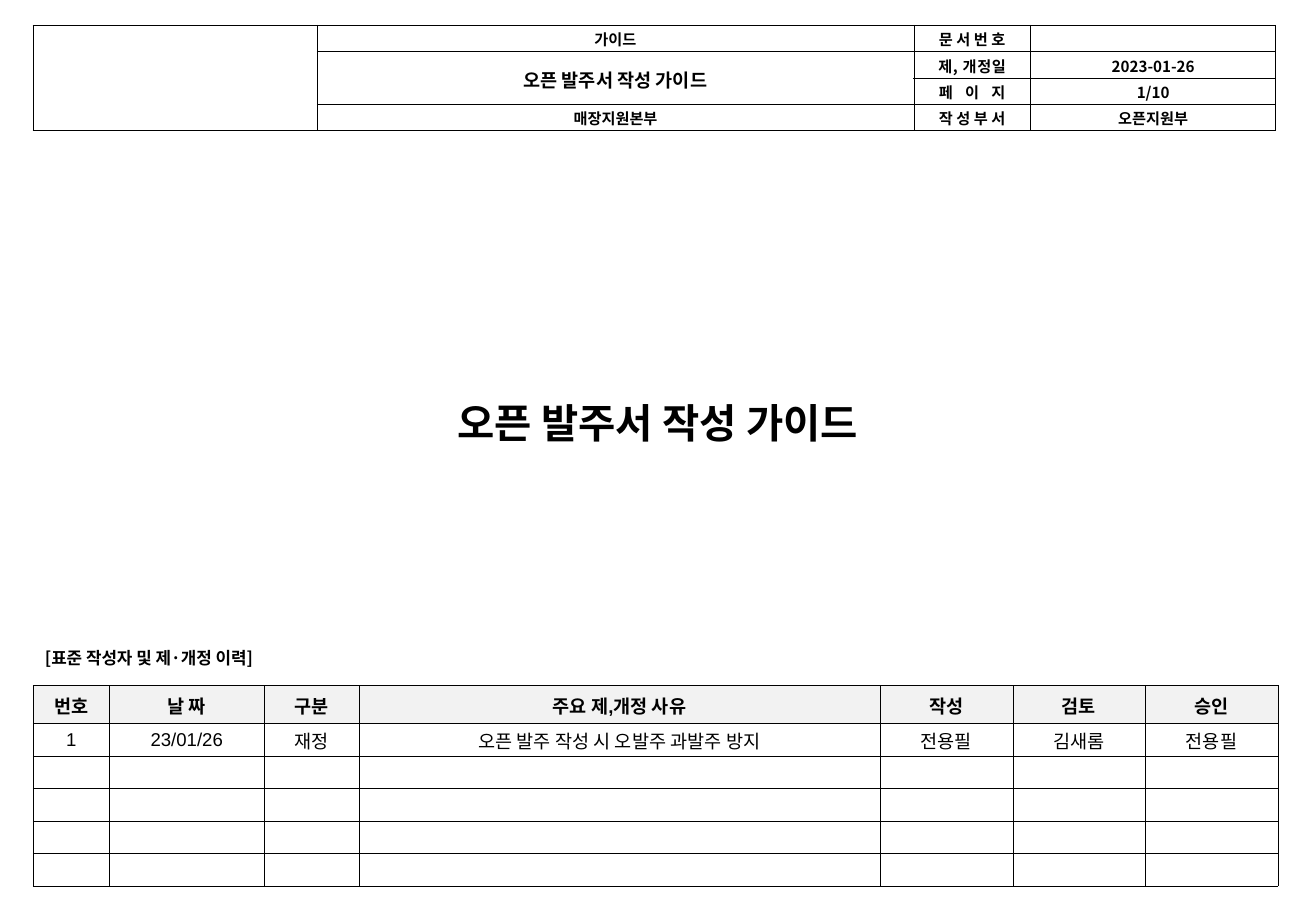
import dataclasses
import lxml.etree
import pptx
import pptx.dml.color
import pptx.enum.text
import pptx.oxml.ns
import pptx.util

Cm = pptx.util.Cm
Pt = pptx.util.Pt
qn = pptx.oxml.ns.qn
ALIGN = pptx.enum.text.PP_ALIGN
ANCHOR = pptx.enum.text.MSO_ANCHOR


@dataclasses.dataclass(frozen=True)
class Theme:
    ink: str = "000000"
    head: str = "F2F2F2"
    sans: str = "Noto Sans CJK KR"
    latin: str = "Arial"
    title: float = 24
    body: float = 11
    note: float = 10
    small: float = 9
    thin: float = 0.25
    thick: float = 0.5
    lead: float = 1.07


THEME = Theme()


@dataclasses.dataclass
class Style:
    size: float
    font: str
    bold: bool = True
    fill: str = ""
    track: float = 0  # letter spacing in points


@dataclasses.dataclass
class Label:
    text: str
    left: float
    top: float
    width: float
    height: float
    size: float
    align: ALIGN
    anchor: ANCHOR
    lead: float


@dataclasses.dataclass
class Grid:
    top: float
    cols: list[float]
    rows: list[float]
    text: list[list[str]]
    edge: float  # outer line width
    spans: list[tuple[int, int, int, int]]


def format_text(par, style: Style) -> None:
    for run in par.runs:
        run.font.size = Pt(style.size)
        run.font.bold = style.bold
        run.font.name = style.font
        run.font.color.rgb = pptx.dml.color.RGBColor.from_string(THEME.ink)
        props = run.font._element
        if style.track:
            props.set("spc", str(round(style.track * 100)))
        east = lxml.etree.Element(qn("a:ea"), typeface=THEME.sans)
        props.find(qn("a:latin")).addnext(east)
    if not par.runs:  # an empty cell must not stretch its row
        lxml.etree.SubElement(par._p, qn("a:endParaRPr"), sz=str(round(style.size * 100)))


def draw_line(cell, side: str, width: float) -> None:
    props = cell._tc.get_or_add_tcPr()
    line = lxml.etree.SubElement(props, qn("a:ln" + side), w=str(Pt(width)))
    fill = lxml.etree.SubElement(line, qn("a:solidFill"))
    lxml.etree.SubElement(fill, qn("a:srgbClr"), val=THEME.ink)


def draw_cell(cell, text: str, style: Style, sides: dict[str, float]) -> None:
    cell.margin_left = cell.margin_right = Cm(0.18)
    cell.margin_top = cell.margin_bottom = 0
    cell.vertical_anchor = ANCHOR.MIDDLE
    for side, width in sides.items():
        draw_line(cell, side, width)
    if style.fill:
        cell.fill.solid()
        cell.fill.fore_color.rgb = pptx.dml.color.RGBColor.from_string(style.fill)
    else:
        cell.fill.background()
    cell.text_frame.text = text
    par = cell.text_frame.paragraphs[0]
    par.alignment = ALIGN.CENTER
    par.line_spacing = THEME.lead
    format_text(par, style)


def draw_grid(slide, grid: Grid, style_of) -> None:
    high, wide = len(grid.rows), len(grid.cols)
    frame = slide.shapes.add_table(high, wide, Cm(0.69), Cm(grid.top),
                                   Cm(sum(grid.cols)), Cm(sum(grid.rows)))
    table = frame.table
    table.first_row = table.horz_banding = False
    for col, width in zip(table.columns, grid.cols):
        col.width = Cm(width)
    for row, height in zip(table.rows, grid.rows):
        row.height = Cm(height)
    for top, left, end, right in grid.spans:
        table.cell(top, left).merge(table.cell(end, right))
    for r in range(high):
        for c in range(wide):
            cell = table.cell(r, c)
            last = r + (cell.span_height if cell.is_merge_origin else 1) == high
            outer = {"L": c == 0, "R": c == wide - 1, "T": r == 0, "B": last}
            sides = {side: grid.edge if out else THEME.thin for side, out in outer.items()}
            draw_cell(cell, grid.text[r][c], style_of(r, c), sides)


def draw_label(slide, label: Label) -> None:
    box = slide.shapes.add_textbox(Cm(label.left), Cm(label.top),
                                   Cm(label.width), Cm(label.height))
    frame = box.text_frame
    frame.word_wrap = False
    frame.auto_size = pptx.enum.text.MSO_AUTO_SIZE.SHAPE_TO_FIT_TEXT
    frame.vertical_anchor = label.anchor
    frame.text = label.text
    par = frame.paragraphs[0]
    par.alignment = label.align
    par.line_spacing = label.lead
    format_text(par, Style(label.size, THEME.sans))


# Document header
HEADER = Grid(0.53, [5.94, 12.47, 2.44, 5.13], [0.55] * 4, [
    ["", "가이드", "문 서 번 호", ""],
    ["", "오픈 발주서 작성 가이드", "제, 개정일", "2023-01-26"],
    ["", "", "페 이 지", "1/10"],
    ["", "매장지원본부", "작 성 부 서", "오픈지원부"],
], THEME.thick, [(0, 0, 3, 0), (1, 1, 2, 1)])
TRACKS = {(1, 2): 0.4, (2, 2): 2.6}


def header_style(row: int, col: int) -> Style:
    size = THEME.body if (row, col) == (1, 1) else THEME.small
    return Style(size, THEME.sans, track=TRACKS.get((row, col), 0))


# Revision history
HISTORY = Grid(14.33, [1.6, 3.23, 1.98, 10.9] + [2.77] * 3, [0.8] + [0.68] * 5, [
    ["번호", "날 짜", "구분", "주요 제,개정 사유", "작성", "검토", "승인"],
    ["1", "23/01/26", "재정", "오픈 발주 작성 시 오발주 과발주 방지", "전용필", "김새롬", "전용필"],
] + [[""] * 7] * 4, THEME.thin, [])


def history_style(row: int, col: int) -> Style:
    head = row == 0
    return Style(THEME.body, THEME.latin, head, THEME.head if head else "")


# Title and history caption
LABELS = [
    Label("오픈 발주서 작성 가이드", 8.76, 8.13, 9.98, 1.27, THEME.title,
          ALIGN.CENTER, ANCHOR.TOP, THEME.lead),
    Label("[표준 작성자 및 제·개정 이력]", 0.69, 13.41, 5.28, 0.69, THEME.note,
          ALIGN.LEFT, ANCHOR.MIDDLE, 1.0),
]


def main() -> None:
    deck = pptx.Presentation()
    deck.slide_width, deck.slide_height = Cm(27.51), Cm(19.05)
    slide = deck.slides.add_slide(deck.slide_layouts[6])
    for label in LABELS:
        draw_label(slide, label)
    draw_grid(slide, HISTORY, history_style)
    draw_grid(slide, HEADER, header_style)
    deck.save("out.pptx")


if __name__ == "__main__":
    main()
